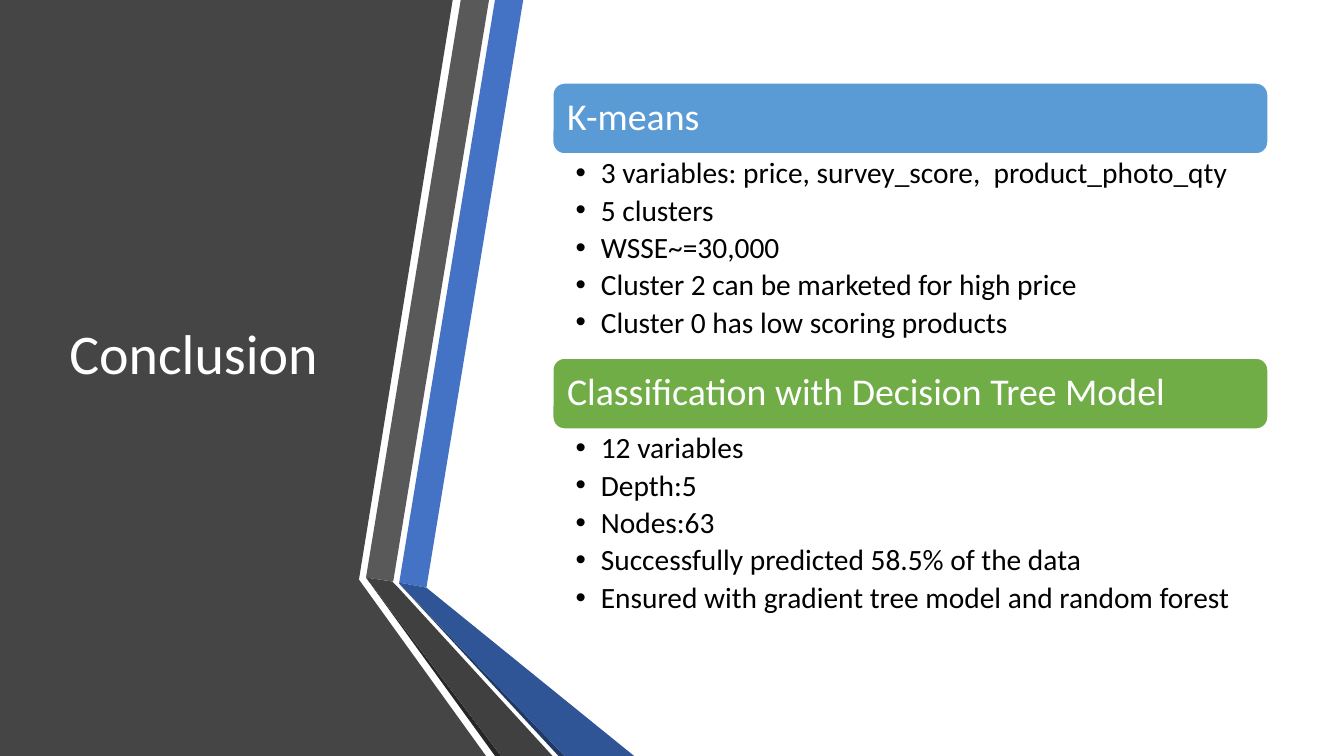
from pptx import Presentation
from pptx import util as u
from pptx.dml.color import RGBColor
from pptx.enum import shapes, text
from lxml import etree

# Content
TITLE = "Conclusion"
SECTIONS = [
    ("K-means", "blue", [
        "3 variables: price, survey_score,  product_photo_qty",
        "5 clusters",
        "WSSE~=30,000",
        "Cluster 2 can be marketed for high price",
        "Cluster 0 has low scoring products",
    ]),
    ("Classification with Decision Tree Model", "green", [
        "12 variables",
        "Depth:5",
        "Nodes:63",
        "Successfully predicted 58.5% of the data",
        "Ensured with gradient tree model and random forest",
    ]),
]

# Colours and the folded ribbons, back to front
COLORS = {
    "white": "FFFFFF", "black": "000000", "blue": "5B9BD5", "green": "70AD47",
    "panel": "454545", "ribbon": "4472C4", "ribbon_fold": "2F5597",
    "ribbon_edge": "203864", "strip": "595959", "strip_fold": "404040",
    "strip_edge": "262626",
}
OUTLINES = [
    ("panel", [(0, 0), (449, 0), (356, 575), (482, 750), (0, 750)]),
    ("ribbon", [(396, 578), (423, 583), (519, 0), (491, 0)]),
    ("strip", [(485, 0), (457, 0), (363, 573), (390, 577)]),
    ("strip_edge", [(363, 573), (491, 750), (497, 750)]),
    ("ribbon_edge", [(396, 579), (554, 750), (560, 750)]),
    ("ribbon_fold", [(396, 579), (560, 750), (629, 750), (423, 583), (396, 578)]),
    ("strip_fold", [(548, 750), (395, 583), (389, 577), (363, 573), (497, 750)]),
]

# Layout in px, 100 to the inch
PX = 9144
SLIDE_W, SLIDE_H = 1333, 750
LIST_X, LIST_Y, LIST_W = 548, 82, 710
HEADER_H, BODY_H = 71, 202
INDENT = 25


def rgb(name):
    return RGBColor.from_string(COLORS[name])


def paint(sp, fill):
    sp.shadow.inherit = False
    sp.fill.solid()
    sp.fill.fore_color.rgb = rgb(fill)


def write(sp, lines, size, color, insets, anchor, space_after=0, bullet=False):
    tf = sp.text_frame
    frame = {"word_wrap": True, "vertical_anchor": anchor}
    sides = ("margin_left", "margin_top", "margin_right", "margin_bottom")
    frame.update(zip(sides, (n * PX for n in insets)))
    for name, value in frame.items():
        setattr(tf, name, value)
    for i, line in enumerate(lines):
        p = tf.paragraphs[0] if i == 0 else tf.add_paragraph()
        p.alignment = text.PP_ALIGN.LEFT
        p.line_spacing = 0.9
        p.space_after = u.Pt(space_after)
        if bullet:
            pPr = p._p.get_or_add_pPr()
            pPr.set("marL", str(INDENT * PX))
            pPr.set("indent", str(-INDENT * PX))
            ns = pPr.nsmap["a"]
            etree.SubElement(pPr, f"{{{ns}}}buFont", typeface="Arial")
            etree.SubElement(pPr, f"{{{ns}}}buChar", char="•")
        r = p.add_run()
        r.text = line
        for name, value in {"name": "Calibri", "size": u.Pt(size)}.items():
            setattr(r.font, name, value)
        r.font.color.rgb = rgb(color)


prs = Presentation()
prs.slide_width, prs.slide_height = SLIDE_W * PX, SLIDE_H * PX
s = prs.slides.add_slide(prs.slide_layouts[6])

# Dark panel and ribbons
for color, points in OUTLINES:
    builder = s.shapes.build_freeform(*points[0], scale=PX)
    builder.add_line_segments(points[1:], close=True)
    sp = builder.convert_to_shape()
    paint(sp, color)
    sp.line.fill.background()

# Title
sp = s.shapes.add_textbox(*(n * PX for n in (59, 75, 304, 558)))
write(sp, [TITLE], 40, "white", (10, 5, 10, 5), text.MSO_ANCHOR.MIDDLE)

# Sections: a header bar with its bullet list below
for i, (heading, color, bullets) in enumerate(SECTIONS):
    top = LIST_Y + i * (HEADER_H + BODY_H)
    sp = s.shapes.add_shape(shapes.MSO_SHAPE.ROUNDED_RECTANGLE,
                            LIST_X * PX, top * PX, LIST_W * PX, HEADER_H * PX)
    paint(sp, color)
    sp.line.color.rgb = rgb("white")
    sp.line.width = u.Pt(1.5)
    write(sp, [heading], 27, "white", (11, 11, 11, 11), text.MSO_ANCHOR.MIDDLE)

    sp = s.shapes.add_textbox(LIST_X * PX, (top + HEADER_H) * PX,
                              LIST_W * PX, BODY_H * PX)
    write(sp, bullets, 21, "black", (23, 4, 21, 4), text.MSO_ANCHOR.TOP,
          space_after=4, bullet=True)

prs.save("out.pptx")
